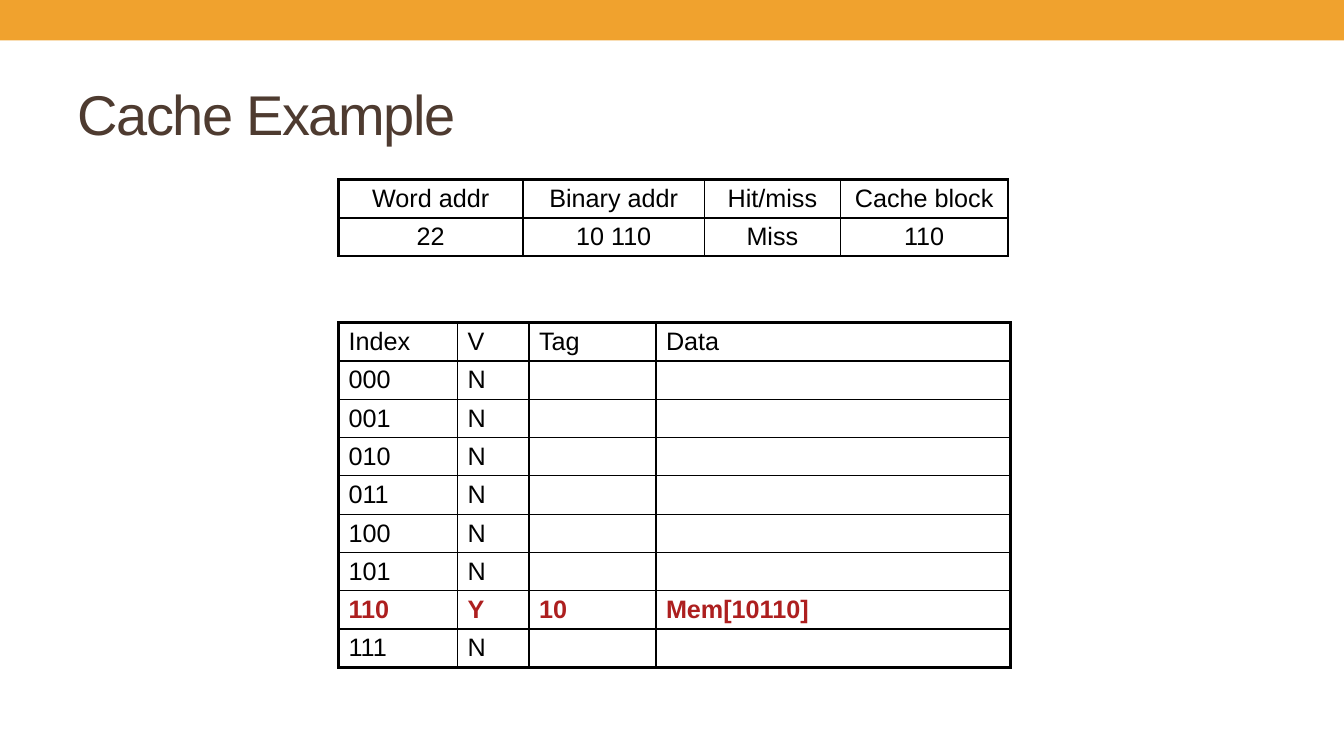
"""Build the cache example slide: one memory access and the cache after it."""
from lxml import etree
from pptx import Presentation
from pptx import util as u
from pptx.dml.color import RGBColor
from pptx.enum import shapes, text
from pptx.oxml.ns import qn

ORANGE = RGBColor(0xF0, 0xA2, 0x2E)
BROWN = RGBColor(0x4E, 0x3B, 0x30)
BLACK = RGBColor(0, 0, 0)
RED = RGBColor(0xAD, 0x1F, 0x1F)

OUTER, HEADER, INNER = 2.25, 1.5, 1


def write(frame, words, size=18, color=BLACK, bold=False, align=text.PP_ALIGN.LEFT, spacing=None):
    paragraph = frame.paragraphs[0]
    paragraph.alignment = align
    if not words:
        return
    run = paragraph.add_run()
    run.text = words
    run.font.name = "Arial"
    run.font.size = u.Pt(size)
    run.font.bold = bold
    run.font.color.rgb = color
    if spacing is not None:
        run.font._element.set("spc", str(spacing))


def set_borders(cell, widths):
    properties = cell._tc.get_or_add_tcPr()
    for position, side in enumerate(("lnL", "lnR", "lnT", "lnB")):
        line = etree.Element(qn(f"a:{side}"), w=str(u.Pt(widths[side])))
        fill = etree.SubElement(line, qn("a:solidFill"))
        etree.SubElement(fill, qn("a:srgbClr"), val=str(BLACK))
        properties.insert(position, line)


class CacheSlide:
    row_height = u.Cm(0.965)
    table_left = u.Cm(8.53)

    def __init__(self, deck):
        self.width = deck.slide_width
        self.slide = deck.slides.add_slide(deck.slide_layouts[5])

    def banner(self, height, color):
        bar = self.slide.shapes.add_shape(shapes.MSO_SHAPE.RECTANGLE, 0, 0, self.width, u.Cm(height))
        bar.shadow.inherit = False
        bar.fill.solid()
        bar.fill.fore_color.rgb = color
        bar.line.fill.background()

    def title(self, words):
        heading = self.slide.shapes.title
        heading.left, heading.top = u.Cm(1.7), u.Cm(1.47)
        heading.width, heading.height = u.Cm(30.48), u.Cm(2.74)
        heading.text_frame.vertical_anchor = text.MSO_ANCHOR.MIDDLE
        write(heading.text_frame, words, size=40, color=BROWN, spacing=-100)

    def table(self, top, column_widths, rows, highlight=None, align=text.PP_ALIGN.LEFT):
        last_row, last_column = len(rows) - 1, len(column_widths) - 1
        grid = self.slide.shapes.add_table(
            len(rows), len(column_widths), self.table_left, u.Cm(top),
            u.Cm(sum(column_widths)), self.row_height * len(rows)).table
        grid.first_row = grid.horz_banding = False
        for column, width in zip(grid.columns, column_widths):
            column.width = u.Cm(width)
        for r, row in enumerate(rows):
            grid.rows[r].height = self.row_height
            for c, words in enumerate(row):
                cell = grid.cell(r, c)
                cell.fill.background()
                cell.margin_top = cell.margin_bottom = u.Cm(0.08)
                cell.vertical_anchor = text.MSO_ANCHOR.MIDDLE
                marked = r == highlight
                write(cell.text_frame, words, color=RED if marked else BLACK, bold=marked, align=align)
                set_borders(cell, {
                    "lnL": OUTER if c == 0 else INNER,
                    "lnR": OUTER if c == last_column else INNER,
                    "lnT": {0: OUTER, 1: HEADER}.get(r, INNER),
                    "lnB": OUTER if r == last_row else HEADER if r == 0 else INNER,
                })


def main():
    deck = Presentation()
    deck.slide_width, deck.slide_height = u.Cm(33.87), u.Cm(19.05)
    page = CacheSlide(deck)
    page.banner(1.02, ORANGE)
    page.title("Cache Example")

    access = [("Word addr", "Binary addr", "Hit/miss", "Cache block"),
              ("22", "10 110", "Miss", "110")]
    loaded = 0b110
    cache = [("Index", "V", "Tag", "Data")]
    cache += [(f"{index:03b}", "N", "", "") for index in range(8)]
    cache[loaded + 1] = ("110", "Y", "10", "Mem[10110]")

    page.table(8.13, (3, 1.8, 3.2, 8.94), cache, highlight=loaded + 1)
    page.table(4.52, (4.65, 4.57, 3.43, 4.22), access, align=text.PP_ALIGN.CENTER)
    deck.save("out.pptx")


if __name__ == "__main__":
    main()
